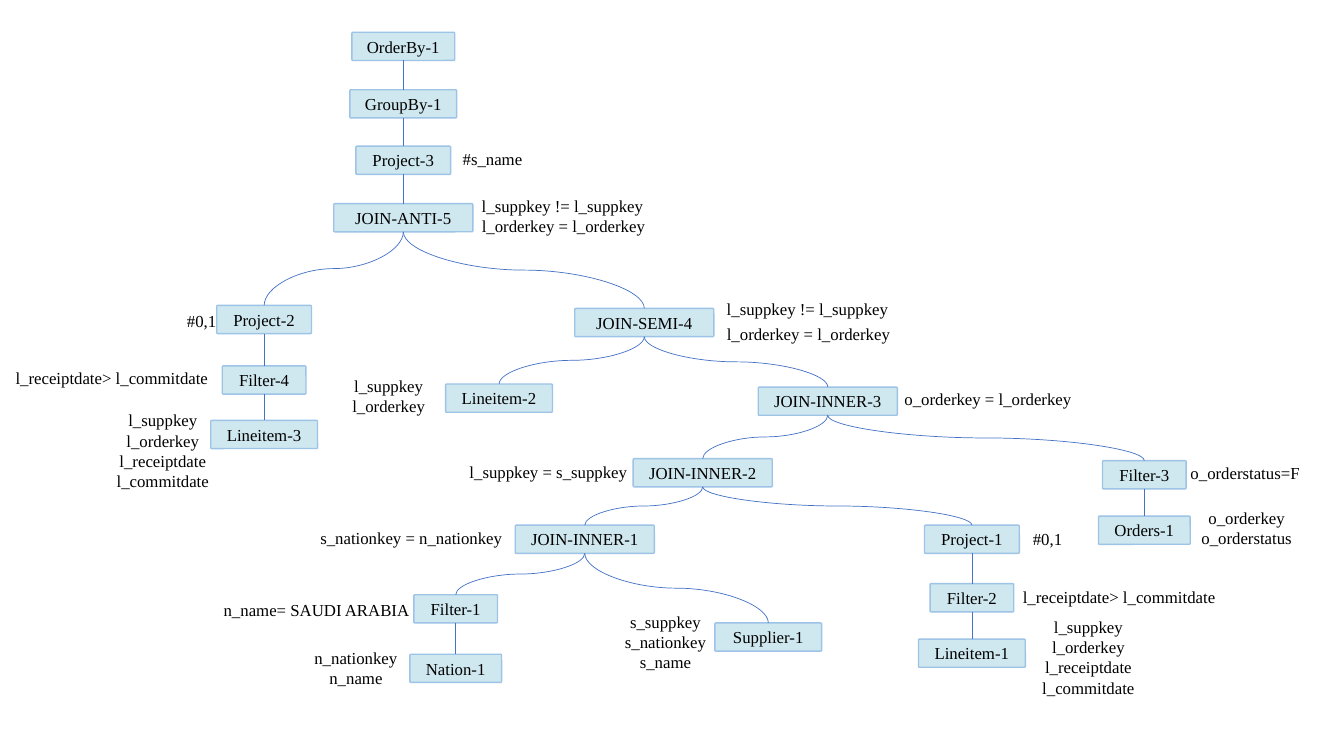
from lxml.etree import SubElement
from pptx import Presentation
from pptx.dml.color import RGBColor
from pptx.enum.shapes import MSO_CONNECTOR as Link, MSO_SHAPE as Shape
from pptx.enum.text import MSO_ANCHOR as Anchor, PP_ALIGN as Align
from pptx.oxml.ns import qn
from pptx.util import Inches, Pt

COLORS = {"node": "CFE8EF", "border": "9DC3E6", "link": "4472C4", "text": "000000"}
NODE_HEIGHT = 0.28
TOP_SITE, BOTTOM_SITE = 0, 2

# Node width by operator or table
WIDTHS = {"OrderBy": 1.02, "GroupBy": 1.06, "Project": 0.94, "JOIN": 1.38, "Filter": 0.83,
          "Lineitem": 1.06, "Supplier": 1.06, "Nation": 0.91, "Orders": 0.91}

# Operator: centre x, top, parent
PLAN = {
    "OrderBy-1": (4, 0.32, None),
    "GroupBy-1": (4, 0.89, "OrderBy-1"),
    "Project-3": (4, 1.45, "GroupBy-1"),
    "JOIN-ANTI-5": (4, 2.02, "Project-3"),
    "Project-2": (2.62, 3.03, "JOIN-ANTI-5"),
    "Filter-4": (2.62, 3.63, "Project-2"),
    "Lineitem-3": (2.62, 4.17, "Filter-4"),
    "JOIN-SEMI-4": (6.39, 3.06, "JOIN-ANTI-5"),
    "Lineitem-2": (4.95, 3.81, "JOIN-SEMI-4"),
    "JOIN-INNER-3": (8.21, 3.84, "JOIN-SEMI-4"),
    "JOIN-INNER-2": (6.97, 4.55, "JOIN-INNER-3"),
    "Filter-3": (11.35, 4.57, "JOIN-INNER-3"),
    "Orders-1": (11.35, 5.12, "Filter-3"),
    "JOIN-INNER-1": (5.8, 5.21, "JOIN-INNER-2"),
    "Project-1": (9.64, 5.21, "JOIN-INNER-2"),
    "Filter-2": (9.64, 5.79, "Project-1"),
    "Lineitem-1": (9.64, 6.34, "Filter-2"),
    "Filter-1": (4.52, 5.9, "JOIN-INNER-1"),
    "Nation-1": (4.52, 6.49, "Filter-1"),
    "Supplier-1": (7.62, 6.18, "JOIN-INNER-1"),
}

KEYS = ["l_suppkey", "l_orderkey"]
LINEITEM_COLUMNS = KEYS + ["l_receiptdate", "l_commitdate"]
LATE = ["l_receiptdate> l_commitdate"]
SUPPLIER_DIFFERS = ["l_suppkey != l_suppkey"]
SAME_ORDER = ["l_orderkey = l_orderkey"]

# Annotation: left, top, width, lines
ANNOTATIONS = [
    (4.43, 1.43, 0.91, ["#s_name"]),
    (4.6, 1.89, 1.96, SUPPLIER_DIFFERS),
    (4.61, 2.09, 1.96, SAME_ORDER),
    (1.68, 3.03, 0.64, ["#0,1"]),
    (-0.05, 3.6, 2.32, LATE),
    (1.01, 4.02, 1.21, LINEITEM_COLUMNS),
    (7.03, 2.91, 1.96, SUPPLIER_DIFFERS),
    (7.04, 3.16, 1.96, SAME_ORDER),
    (3.25, 3.68, 1.21, KEYS),
    (8.82, 3.81, 1.96, ["o_orderkey = l_orderkey"]),
    (4.46, 4.53, 1.96, ["l_suppkey = s_suppkey"]),
    (11.63, 4.54, 1.44, ["o_orderstatus=F"]),
    (11.76, 4.99, 1.21, ["o_orderkey", "o_orderstatus"]),
    (2.92, 5.19, 2.32, ["s_nationkey = n_nationkey"]),
    (10.07, 5.2, 0.64, ["#0,1"]),
    (9.94, 5.77, 2.32, LATE),
    (10.19, 6.07, 1.21, LINEITEM_COLUMNS),
    (1.94, 5.9, 2.4, ["n_name= SAUDI ARABIA"]),
    (2.97, 6.38, 1.12, ["n_nationkey", "n_name"]),
    (6.04, 6.02, 1.12, ["s_suppkey", "s_nationkey", "s_name"]),
]


def color(name):
    return RGBColor.from_string(COLORS[name])


class PlanSlide:
    def __init__(self, slide):
        self.slide = slide
        self.font, self.size = "Times New Roman", Pt(12)

    def set_text(self, frame, lines):
        frame.word_wrap = True
        frame.text = "\n".join(lines)
        for paragraph in frame.paragraphs:
            paragraph.alignment = Align.CENTER
            paragraph.font.name, paragraph.font.size = self.font, self.size
            paragraph.font.color.rgb = color("text")

    def node(self, name, center, top):
        width = WIDTHS[name.split("-")[0]]
        box = self.slide.shapes.add_shape(
            Shape.ROUNDED_RECTANGLE, Inches(center - width / 2), Inches(top),
            Inches(width), Inches(NODE_HEIGHT))
        box.adjustments[0] = 0.04
        box.shadow.inherit = False
        box.fill.solid()
        box.fill.fore_color.rgb = color("node")
        box.line.color.rgb = color("border")
        box.line.width = Pt(1)
        box.text_frame.vertical_anchor = Anchor.MIDDLE
        self.set_text(box.text_frame, [name])
        return box

    def link(self, parent, child):
        x1, y1 = parent.left + parent.width // 2, parent.top + parent.height
        x2, y2 = child.left + child.width // 2, child.top
        straight = abs(x2 - x1) < Inches(0.02)
        line = self.slide.shapes.add_connector(
            Link.STRAIGHT if straight else Link.CURVE, x1, y1, x2, y2)
        line.begin_connect(parent, BOTTOM_SITE)
        line.end_connect(child, TOP_SITE)
        line.line.color.rgb = color("link")
        line.line.width = Pt(0.5)
        properties = line._element.spPr
        SubElement(properties, qn("a:effectLst"))
        if not straight:
            # Turn the curve so that it leaves and arrives vertically
            drop, span = y2 - y1, abs(x2 - x1)
            line.left, line.top = (x1 + x2 - drop) // 2, (y1 + y2 - span) // 2
            line.width, line.height = drop, span
            rightward = x2 > x1
            properties.xfrm.set("rot", "16200000" if rightward else "5400000")
            properties.xfrm.set("flipH", "1" if rightward else "0")

    def annotation(self, left, top, width, lines):
        note = self.slide.shapes.add_textbox(
            Inches(left), Inches(top), Inches(width), Inches(0.1 + 0.2 * len(lines)))
        self.set_text(note.text_frame, lines)


def main():
    deck = Presentation()
    deck.slide_width, deck.slide_height = Inches(13.33), Inches(7.5)
    plan = PlanSlide(deck.slides.add_slide(deck.slide_layouts[6]))

    # Operators, each linked to its parent
    nodes = {}
    for name, (center, top, parent) in PLAN.items():
        nodes[name] = plan.node(name, center, top)
        if parent:
            plan.link(nodes[parent], nodes[name])

    # Conditions and columns beside the operators
    for annotation in ANNOTATIONS:
        plan.annotation(*annotation)

    deck.save("out.pptx")


if __name__ == "__main__":
    main()
